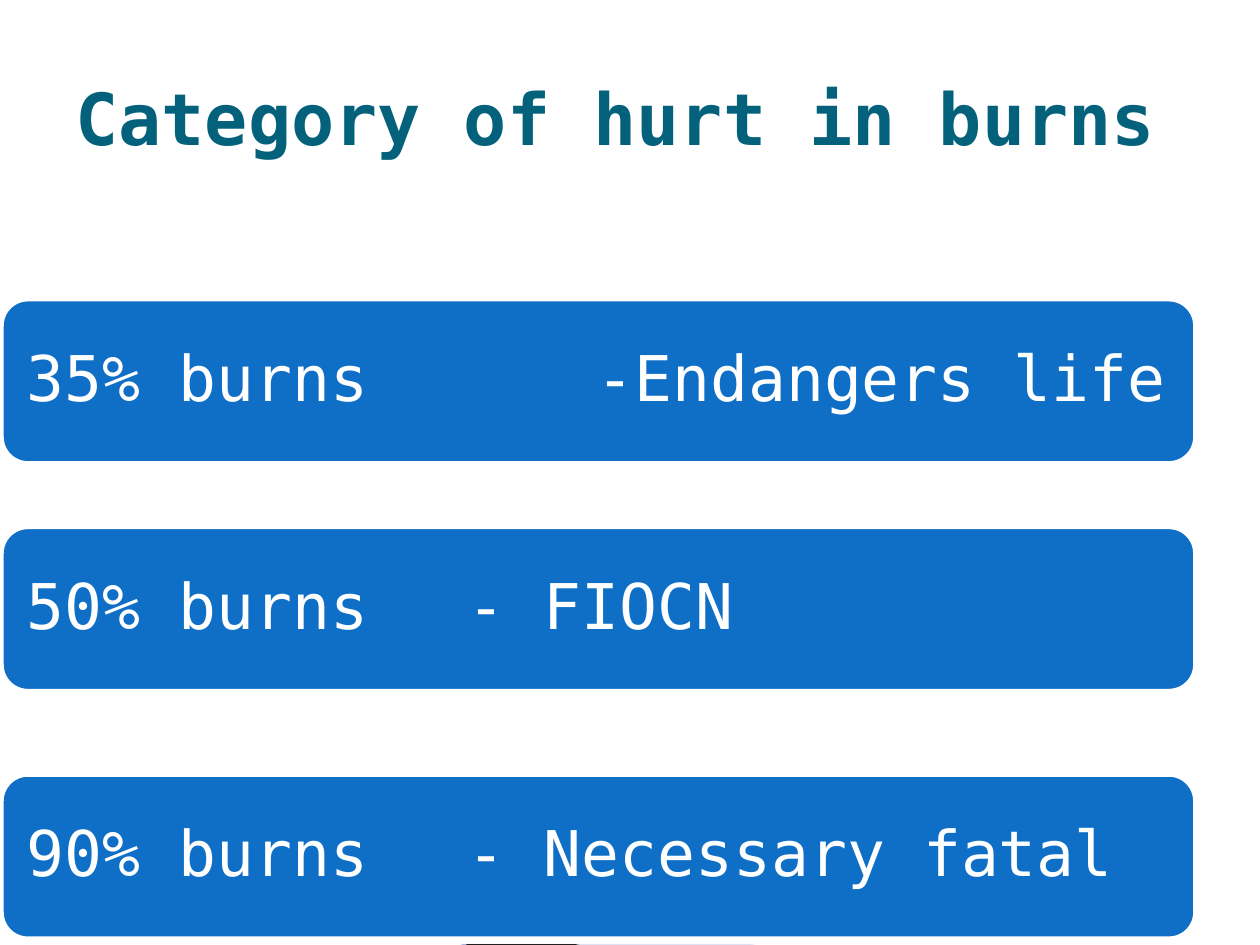
"""Build a slide that grades burns by category of hurt."""
from lxml import etree
from pptx import Presentation
from pptx.dml.color import RGBColor
from pptx.enum import shapes, text
from pptx.oxml import ns
from pptx.util import Inches, Pt

WIDTH, HEIGHT = Inches(10), Inches(7.5)
FONT = "DejaVu Sans Mono"
COLORS = {
    "bar": "0F6FC6",
    "white": "FFFFFF",
    "title": "04617B",
    "haze": "9DB2E1",
    "shade": "000000",
    "edge": "94ABDC",
}
BARS = [
    (0.315, 4.52, "35% burns\t-Endangers life"),
    (0.556, 3.5, "50% burns\t- FIOCN"),
    (0.818, 3.5, "90% burns\t- Necessary fatal"),
]


def color(name):
    """Return the named palette colour."""
    return RGBColor.from_string(COLORS[name])


def across(share):
    """Return a share of the slide's width."""
    return round(WIDTH * share)


def down(share):
    """Return a share of the slide's height."""
    return round(HEIGHT * share)


def write(paragraph, words, size, ink, bold=False):
    """Add one styled run to a paragraph."""
    run = paragraph.add_run()
    run.text = words
    run.font.name, run.font.size, run.font.bold = FONT, Pt(size), bold
    run.font.color.rgb = color(ink)


def add_wedge(slide, corners, fill, opacity=100):
    """Draw a filled corner wedge from shares of the slide."""
    points = [(across(x), down(y)) for x, y in corners]
    builder = slide.shapes.build_freeform(*points[0])
    builder.add_line_segments(points[1:], close=True)
    wedge = builder.convert_to_shape()
    wedge.shadow.inherit = False
    wedge.fill.solid()
    wedge.fill.fore_color.rgb = color(fill)
    wedge.line.fill.background()
    if opacity < 100:
        tint = wedge.fill._xPr.find(".//" + ns.qn("a:srgbClr"))
        etree.SubElement(tint, ns.qn("a:alpha"), val=str(opacity * 1000))


def add_edge(slide, start, end):
    """Draw the thin line along the corner wedges."""
    edge = slide.shapes.add_connector(
        shapes.MSO_CONNECTOR.STRAIGHT,
        across(start[0]), down(start[1]), across(end[0]), down(end[1]))
    edge.line.color.rgb = color("edge")
    edge.line.width = Pt(0.95)
    etree.SubElement(edge._element.spPr, ns.qn("a:effectLst"))


def add_bar(slide, top, tab, words):
    """Draw a rounded bar with a burn extent and its category."""
    bar = slide.shapes.add_shape(
        shapes.MSO_SHAPE.ROUNDED_RECTANGLE,
        0, down(top), across(0.95), down(0.177))
    bar.shadow.inherit = False
    bar.fill.solid()
    bar.fill.fore_color.rgb = color("bar")
    bar.line.color.rgb = color("white")
    bar.line.width = Pt(4.33)
    frame = bar.text_frame
    frame.word_wrap = True
    frame.vertical_anchor = text.MSO_ANCHOR.MIDDLE
    frame.margin_left = frame.margin_top = frame.margin_bottom = Inches(0.15)
    frame.margin_right = Inches(0.1)
    grade = frame.paragraphs[0]
    stops = etree.SubElement(grade._p.get_or_add_pPr(), ns.qn("a:tabLst"))
    etree.SubElement(stops, ns.qn("a:tab"), pos=str(Inches(tab)), algn="l")
    grade.alignment = text.PP_ALIGN.LEFT
    grade.line_spacing = 0.9
    write(grade, words, 36, "white")


def add_title(slide, words):
    """Write the slide's heading."""
    heading = slide.shapes.add_textbox(
        across(0.05), down(0.04), across(0.9), down(1 / 6))
    frame = heading.text_frame
    frame.word_wrap = True
    frame.vertical_anchor = text.MSO_ANCHOR.MIDDLE
    write(frame.paragraphs[0], words, 41, "title", bold=True)


def main():
    """Assemble and save the slide."""
    deck = Presentation()
    deck.slide_width, deck.slide_height = WIDTH, HEIGHT
    slide = deck.slides.add_slide(deck.slide_layouts[6])
    add_wedge(slide, [(0.05, 0.87), (0.6, 1), (0.46, 1)], "haze", 40)
    add_wedge(slide, [(0.05, 0.87), (0.46, 1), (0.37, 1)], "shade")
    add_edge(slide, (0, 0.84), (0.37, 1))
    for bar in BARS:
        add_bar(slide, *bar)
    add_title(slide, "Category of hurt in burns")
    deck.save("out.pptx")


if __name__ == "__main__":
    main()
